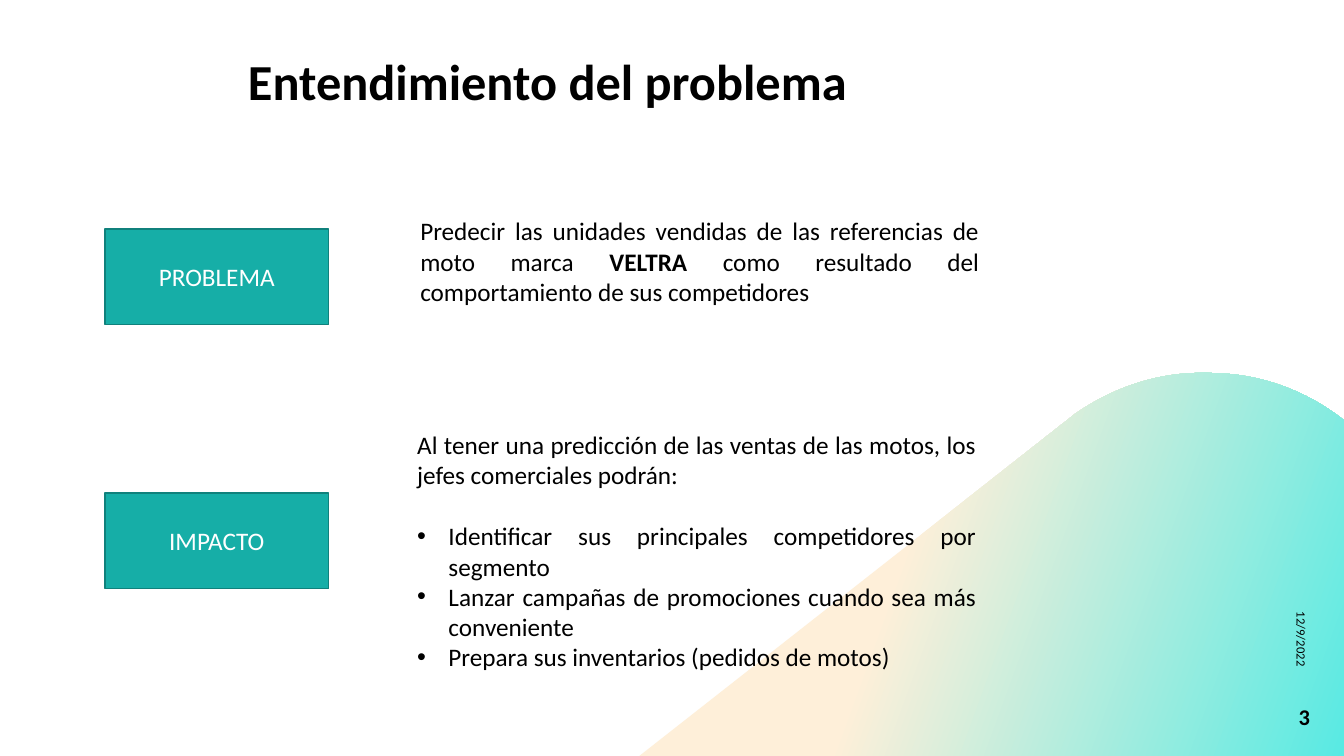
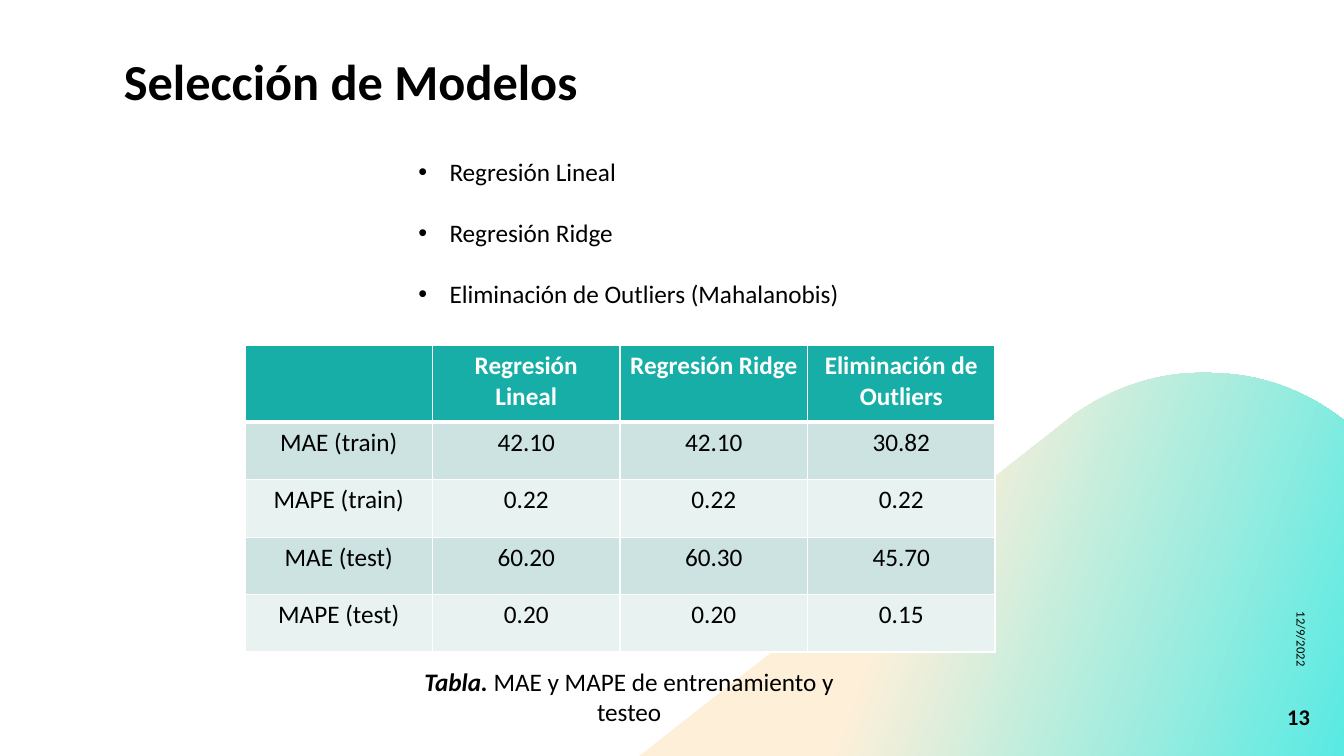
from dataclasses import dataclass

from lxml import etree
from pptx import Presentation
from pptx.dml.color import RGBColor
from pptx.enum.shapes import MSO_SHAPE
from pptx.enum.text import MSO_ANCHOR, PP_ALIGN
from pptx.oxml.ns import qn
from pptx.util import Pt

EMU_PER_PX = 9144  # 100 px to the inch
SLIDE_WIDTH, SLIDE_HEIGHT = 1333, 750
RECTANGLE = MSO_SHAPE.RECTANGLE
LEFT, CENTER = PP_ALIGN.LEFT, PP_ALIGN.CENTER
RIGHT, JUSTIFY = PP_ALIGN.RIGHT, PP_ALIGN.JUSTIFY
TOP, MIDDLE = MSO_ANCHOR.TOP, MSO_ANCHOR.MIDDLE


@dataclass(frozen=True)
class Theme:
    font: str = "Calibri"
    black: str = "000000"
    white: str = "FFFFFF"
    teal: str = "16AEA7"
    teal_dark: str = "10817C"
    band_dark: str = "CCE3E1"
    band_light: str = "E8F2F1"
    wave_start: str = "FEEFD9"
    wave_end: str = "58EAE3"
    title_size: int = 36
    body_size: int = 18
    number_size: int = 16
    date_size: int = 9
    blank_line: int = 22  # points


THEME = Theme()
DATE = "12/9/2022"
BULLET_INDENT = 31


def px(value):
    return round(value * EMU_PER_PX)


def rgb(code):
    return RGBColor.from_string(code)


# Text
def write_text(frame, text, size=THEME.body_size, color=THEME.black, bold=False,
               align=LEFT, bullet=False, space_before=0):
    """Add a paragraph; text is a string or a list of (text, font settings)."""
    paragraph = frame.paragraphs[0]
    if paragraph.runs:
        paragraph = frame.add_paragraph()
    paragraph.alignment = align
    paragraph.space_before = Pt(space_before)
    if bullet:
        add_bullet(paragraph)
    pieces = [(text, {})] if isinstance(text, str) else text
    for content, settings in pieces:
        run = paragraph.add_run()
        run.text = content
        font = run.font
        font.name, font.size, font.bold = THEME.font, Pt(size), bold
        font.color.rgb = rgb(color)
        for name, value in settings.items():
            setattr(font, name, value)


def add_bullet(paragraph):
    properties = paragraph._p.get_or_add_pPr()
    properties.set("marL", str(px(BULLET_INDENT)))
    properties.set("indent", str(-px(BULLET_INDENT)))
    etree.SubElement(properties, qn("a:buFont"), typeface="Arial")
    etree.SubElement(properties, qn("a:buChar"), char="•")


def add_text_box(slide, left, top, width, height, anchor=TOP, rotation=0):
    box = slide.shapes.add_textbox(px(left), px(top), px(width), px(height))
    box.rotation = rotation
    box.text_frame.word_wrap = True
    box.text_frame.vertical_anchor = anchor
    return box.text_frame


# Shared slide parts
def curve_points(start, control_1, control_2, end, steps=24):
    """Points along a cubic curve, without its start."""
    points = []
    for step in range(1, steps + 1):
        t = step / steps
        weights = ((1 - t) ** 3, 3 * t * (1 - t) ** 2, 3 * t * t * (1 - t), t ** 3)
        points.append(tuple(
            px(sum(weight * value for weight, value in zip(weights, axis)))
            for axis in zip(start, control_1, control_2, end)))
    return points


def add_wave(slide):
    crest, right_edge = (1199, 370), (SLIDE_WIDTH, 417)
    shoulder, before_crest = (1067, 410), (1186, 370)
    corners = [(SLIDE_WIDTH, SLIDE_HEIGHT), (634, SLIDE_HEIGHT), (1062, 414), shoulder]
    points = curve_points(crest, (1247, 370), (1294, 386), right_edge)
    points += [(px(x), px(y)) for x, y in corners]
    points += curve_points(shoulder, (1103, 385), (1145, 371), before_crest)
    points += curve_points(before_crest, (1191, 370), (1195, 369), crest)

    builder = slide.shapes.build_freeform(px(crest[0]), px(crest[1]))
    builder.add_line_segments(points, close=True)
    wave = builder.convert_to_shape()
    wave.shadow.inherit = False
    wave.line.fill.background()
    wave.fill.gradient()
    wave.fill.gradient_angle = 340
    colors = ((0.39, THEME.wave_start), (1, THEME.wave_end))
    for stop, (position, color) in zip(wave.fill.gradient_stops, colors):
        stop.position = position
        stop.color.rgb = rgb(color)


def add_base_slide(presentation, title, title_width, number):
    slide = presentation.slides.add_slide(presentation.slide_layouts[6])
    add_wave(slide)
    write_text(add_text_box(slide, 13, 10, title_width, 140, MIDDLE), title,
               size=THEME.title_size, bold=True, align=RIGHT)
    write_text(add_text_box(slide, 1146, 506, 290, 40, MIDDLE, rotation=90), DATE,
               size=THEME.date_size, align=RIGHT)
    write_text(add_text_box(slide, 1242, 691, 67, 40, MIDDLE), str(number),
               size=THEME.number_size, bold=True, align=RIGHT)
    return slide


# Content parts
def add_label(slide, text, top):
    label = slide.shapes.add_shape(RECTANGLE, px(104), px(top), px(222), px(95))
    label.shadow.inherit = False
    label.fill.solid()
    label.fill.fore_color.rgb = rgb(THEME.teal)
    label.line.color.rgb = rgb(THEME.teal_dark)
    label.line.width = Pt(1)
    label.text_frame.vertical_anchor = MIDDLE
    write_text(label.text_frame, text, color=THEME.white, align=CENTER)


def set_borders(cell, top=1, bottom=1):
    properties = cell._tc.get_or_add_tcPr()
    for side, width in (("L", 1), ("R", 1), ("T", top), ("B", bottom)):
        line = etree.SubElement(properties, qn(f"a:ln{side}"), w=str(Pt(width)))
        fill = etree.SubElement(line, qn("a:solidFill"))
        etree.SubElement(fill, qn("a:srgbClr"), val=THEME.white)


def add_metrics_table(slide, rows, left, top, column_width, header_height, row_height):
    column_count = len(rows[0])
    height = header_height + row_height * (len(rows) - 1)
    table = slide.shapes.add_table(len(rows), column_count, px(left), px(top),
                                   px(column_width * column_count), px(height)).table
    table.horz_banding = False
    for column in table.columns:
        column.width = px(column_width)
    for row_index, values in enumerate(rows):
        header = row_index == 0
        table.rows[row_index].height = px(header_height if header else row_height)
        band = THEME.band_dark if row_index % 2 else THEME.band_light
        for column_index, value in enumerate(values):
            cell = table.cell(row_index, column_index)
            set_borders(cell, top=3 if row_index == 1 else 1, bottom=3 if header else 1)
            cell.fill.solid()
            cell.fill.fore_color.rgb = rgb(THEME.teal if header else band)
            write_text(cell.text_frame, value, bold=header, align=CENTER,
                       color=THEME.white if header else THEME.black)


# Slides
def build_problem_slide(presentation):
    slide = add_base_slide(presentation, "Entendimiento del problema", 837, 3)
    add_label(slide, "PROBLEMA", 227)
    add_label(slide, "IMPACTO", 489)

    problem = [
        ("Predecir las unidades vendidas de las referencias de moto marca ", {}),
        ("VELTRA", {"bold": True}),
        (" como resultado del comportamiento de sus competidores", {}),
    ]
    write_text(add_text_box(slide, 407, 209, 574, 131), problem, align=JUSTIFY)

    impact = add_text_box(slide, 404, 421, 574, 252)
    write_text(impact, "Al tener una predicción de las ventas de las motos, "
                       "los jefes comerciales podrán:", align=JUSTIFY)
    benefits = (
        "Identificar sus principales competidores por segmento",
        "Lanzar campañas de promociones cuando sea más conveniente",
        "Prepara sus inventarios (pedidos de motos)",
    )
    for index, benefit in enumerate(benefits):
        write_text(impact, benefit, align=JUSTIFY, bullet=True,
                   space_before=0 if index else THEME.blank_line)


def build_models_slide(presentation):
    slide = add_base_slide(presentation, "Selección de Modelos", 570, 13)
    models = add_text_box(slide, 405, 150, 511, 162)
    names = ("Regresión Lineal", "Regresión Ridge", "Eliminación de Outliers (Mahalanobis)")
    for index, name in enumerate(names):
        write_text(models, name, bullet=True,
                   space_before=THEME.blank_line if index else 0)

    rows = (
        ("", "Regresión Lineal", "Regresión Ridge", "Eliminación de Outliers"),
        ("MAE (train)", "42.10", "42.10", "30.82"),
        ("MAPE (train)", "0.22", "0.22", "0.22"),
        ("MAE (test)", "60.20", "60.30", "45.70"),
        ("MAPE (test)", "0.20", "0.20", "0.15"),
    )
    add_metrics_table(slide, rows, left=243, top=343, column_width=186,
                      header_height=76, row_height=57)
    caption = [("Tabla.", {"bold": True, "italic": True}),
               (" MAE y MAPE de entrenamiento y testeo", {})]
    write_text(add_text_box(slide, 405, 656, 438, 71), caption, align=CENTER)


def main():
    presentation = Presentation()
    presentation.slide_width = px(SLIDE_WIDTH)
    presentation.slide_height = px(SLIDE_HEIGHT)
    build_problem_slide(presentation)
    build_models_slide(presentation)
    presentation.save("out.pptx")


if __name__ == "__main__":
    main()
